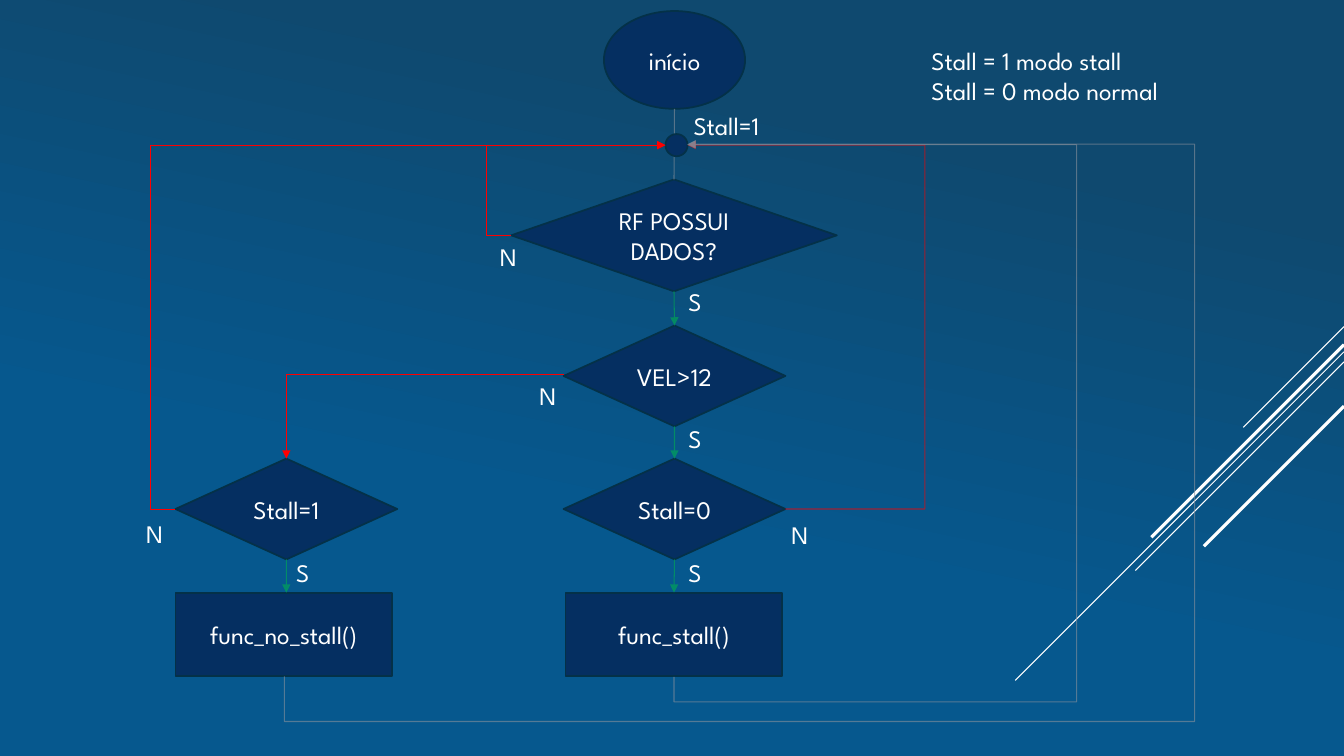
from lxml.etree import SubElement
from pptx import Presentation
from pptx.dml.color import RGBColor
from pptx.enum.shapes import MSO_CONNECTOR, MSO_SHAPE
from pptx.enum.text import MSO_ANCHOR, MSO_AUTO_SIZE, PP_ALIGN
from pptx.oxml.ns import qn
from pptx.util import Cm, Pt


def length(inches):
    return Cm(inches * 2.54)


def color(value):
    return RGBColor.from_string(value)


def write(frame, text, size=18, font="League Spartan", fill="FFFFFF", align=PP_ALIGN.LEFT):
    for index, line in enumerate(text.split("\n")):
        para = frame.paragraphs[0] if index == 0 else frame.add_paragraph()
        para.alignment = align
        span = para.add_run()
        span.text = line
        span.font.size = Pt(size)
        span.font.name = font
        span.font.color.rgb = color(fill)


class Flowchart:
    node_fill = "052F61"
    node_line = "043148"
    green = "00B050"
    gray = "89919C"
    red = "FF0000"
    white = "FFFFFF"

    def __init__(self, page):
        self.page = page

    def background(self, stops, angle):
        fill = self.page.background.fill
        fill.gradient()
        fill.gradient_angle = 360 - angle
        for stop, (position, value) in zip(fill.gradient_stops, stops):
            stop.position = position
            stop.color.rgb = color(value)

    def node(self, kind, left, top, width, height, text=""):
        shape = self.page.shapes.add_shape(kind, *map(length, (left, top, width, height)))
        shape.shadow.inherit = False
        shape.fill.solid()
        shape.fill.fore_color.rgb = color(self.node_fill)
        shape.line.color.rgb = color(self.node_line)
        shape.line.width = Pt(1.25)
        if text:
            shape.text_frame.word_wrap = True
            shape.text_frame.vertical_anchor = MSO_ANCHOR.MIDDLE
            write(shape.text_frame, text, align=PP_ALIGN.CENTER)
        return shape

    def label(self, left, top, width, height, text):
        box = self.page.shapes.add_textbox(*map(length, (left, top, width, height)))
        box.text_frame.word_wrap = False
        box.text_frame.auto_size = MSO_AUTO_SIZE.SHAPE_TO_FIT_TEXT
        write(box.text_frame, text)

    def line(self, start, end, stroke, width=0.75, alpha=100, arrow=False,
             kind=MSO_CONNECTOR.STRAIGHT):
        connector = self.page.shapes.add_connector(kind, *map(length, start + end))
        connector.line.color.rgb = color(stroke)
        connector.line.width = Pt(width)
        properties = connector.element.spPr
        outline = properties.find(qn("a:ln"))
        if alpha < 100:
            SubElement(outline.find(".//" + qn("a:srgbClr")), qn("a:alpha"), val=str(alpha * 1000))
        if arrow:
            SubElement(outline, qn("a:tailEnd"), type="triangle")
        SubElement(properties, qn("a:effectLst"))
        return connector

    def elbow(self, left, top, width, height, stroke, preset, flips, turn=0,
              bends=(), alpha=100):
        connector = self.line((left, top), (left + width, top + height), stroke,
                              alpha=alpha, arrow=True, kind=MSO_CONNECTOR.ELBOW)
        properties = connector.element.spPr
        transform = properties.find(qn("a:xfrm"))
        transform.set("rot", str(turn * 60000))
        for flip in flips:
            transform.set("flip" + flip, "1")
        geometry = properties.find(qn("a:prstGeom"))
        geometry.set("prst", preset)
        guides = geometry.find(qn("a:avLst"))
        for number, bend in enumerate(bends, 1):
            SubElement(guides, qn("a:gd"), name=f"adj{number}", fmla=f"val {round(bend * 100000)}")


def main():
    deck = Presentation()
    deck.slide_width, deck.slide_height = length(13.33), length(7.5)
    chart = Flowchart(deck.slides.add_slide(deck.slide_layouts[6]))
    chart.background([(0.21, "0F496F"), (0.65, "06588E")], 102)

    for top, run, width in [(3.24, 1, 0.75), (3.49, 3.26, 0.75), (3.59, 2.07, 0.75),
                            (3.42, 1.91, 2.25), (4.03, 1.39, 2.25)]:
        chart.line((13.33, top), (13.33 - run, top + run), chart.white, width)

    decision, process = MSO_SHAPE.FLOWCHART_DECISION, MSO_SHAPE.RECTANGLE
    has_data = chart.node(decision, 5.07, 1.78, 3.23, 1.11, "RF POSSUI DADOS?")
    chart.node(MSO_SHAPE.OVAL, 5.99, 0.11, 1.4, 0.97, "início")
    speed = chart.node(decision, 5.59, 3.23, 2.2, 1, "VEL>12")
    stall_call = chart.node(process, 5.61, 5.88, 2.15, 0.83, "func_stall()")
    stall_off = chart.node(decision, 5.59, 4.55, 2.2, 1, "Stall=0")
    stall_on = chart.node(decision, 1.74, 4.55, 2.2, 1, "Stall=1")
    chart.node(process, 1.74, 5.88, 2.15, 0.83, "func_no_stall()")

    entry = chart.line((6.69, 1.08), (6.69, 1.78), chart.gray, alpha=60)
    entry.end_connect(has_data, 0)
    for upper, lower in [(has_data, speed), (speed, stall_off), (stall_off, stall_call)]:
        step = chart.line((6.69, 2.89), (6.69, 3.23), chart.green, alpha=60, arrow=True)
        step.begin_connect(upper, 2)
        step.end_connect(lower, 0)
    no_stall_step = chart.line((2.84, 5.55), (2.84, 5.88), chart.green, alpha=60, arrow=True)
    no_stall_step.begin_connect(stall_on, 2)
    chart.node(MSO_SHAPE.OVAL, 6.6, 1.33, 0.22, 0.22)

    chart.elbow(2.84, 3.72, 2.75, 0.83, chart.red, "bentConnector2", "V", 180)
    chart.elbow(5.07, 1.44, 1.53, 0.9, chart.red, "bentConnector3", "H", 180, [-0.163])
    chart.elbow(1.74, 1.44, 4.86, 3.61, chart.red, "bentConnector3", "H", 180, [-0.051])
    chart.elbow(6.82, 1.44, 0.97, 3.61, chart.red, "bentConnector3", "HV", 0, [-1.427], 60)
    chart.elbow(4.11, 4.01, 5.28, 0.13, chart.gray, "bentConnector4", "HV", 90,
                [-0.047, 30.733], 60)
    chart.elbow(2.18, 2.07, 5.28, 4, chart.gray, "bentConnector4", "HV", 90,
                [-0.085, 2.257], 60)

    for left, top in [(4.86, 2.34), (5.25, 3.72), (7.75, 5.1), (1.35, 5.09)]:
        chart.label(left, top, 0.39, 0.4, "N")
    for left, top in [(6.73, 2.79), (6.73, 4.15), (6.73, 5.48), (2.84, 5.48)]:
        chart.label(left, top, 0.33, 0.4, "S")
    chart.label(6.78, 1.05, 0.98, 0.4, "Stall=1")
    chart.label(9.14, 0.4, 2.85, 0.71, "Stall = 1 modo stall\nStall = 0 modo normal")

    deck.save("out.pptx")


if __name__ == "__main__":
    main()
